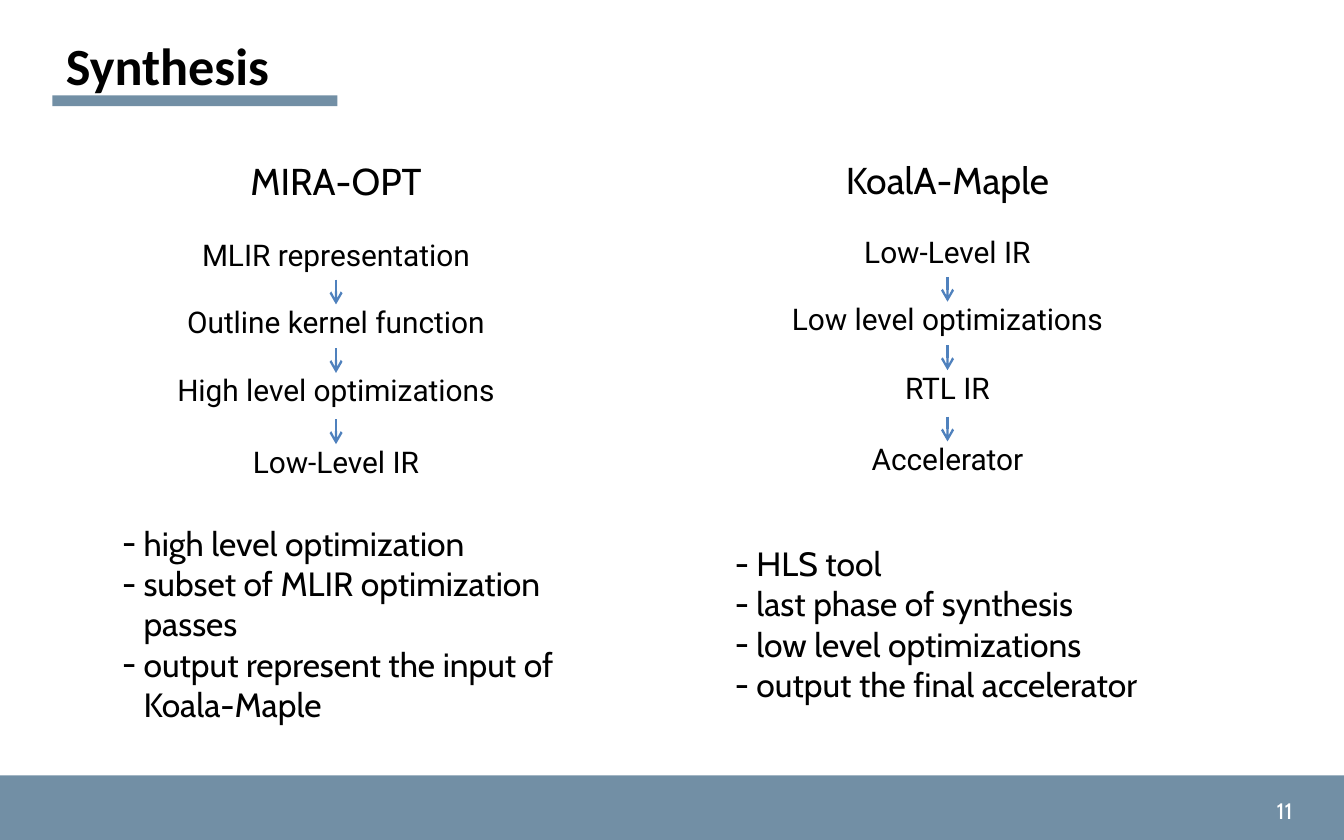
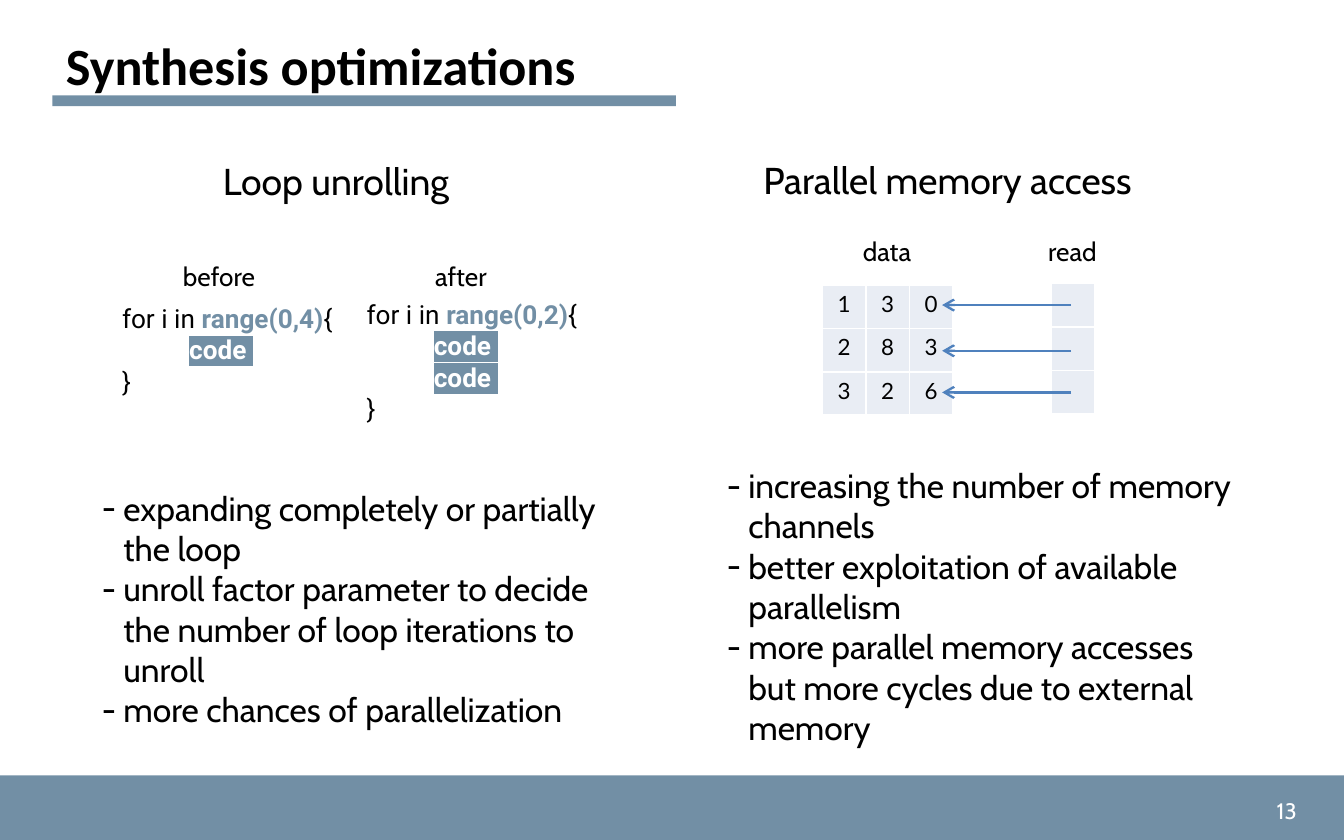
from lxml.etree import SubElement
from pptx import Presentation
from pptx.dml.color import RGBColor
from pptx.enum.shapes import MSO_CONNECTOR, MSO_SHAPE
from pptx.enum.text import MSO_ANCHOR, MSO_AUTO_SIZE, PP_ALIGN
from pptx.oxml.ns import qn
from pptx.util import Inches, Pt

HUES = {
    "band": "728FA5",
    "ink": "000000",
    "paper": "FFFFFF",
    "cell": "E9EDF4",
    "arrow": "4F81BD",
}
WIDE, HIGH = 100, 62.5
LEFT, RIGHT = 3.9, 49.4
HALF = 42.2


def unit(count):
    """Turn grid columns or rows into a length."""
    return Inches(round(count / 10, 3))


def hue(name):
    """Give the colour that a name stands for."""
    return RGBColor.from_string(HUES[name])


class Deck:
    """Hold the style and the current slide."""

    def __init__(self):
        """Start an empty deck."""
        self.show = Presentation()
        self.show.slide_width = unit(WIDE)
        self.show.slide_height = unit(HIGH)

    def page(self, title, number, width):
        """Add a slide with its title, rule, footer band and number."""
        self.slide = self.show.slides.add_slide(self.show.slide_layouts[5])
        self.band(0, 57.7, WIDE, 4.8)
        self.box(94, 58.8, 3.8, 3, [number], 12, tint="paper")
        head = self.slide.shapes.title
        self.place(head, LEFT, 2, width, 5.7)
        self.fill(head.text_frame, [title], 28, "Calibri", wrap=False)
        head.text_frame.paragraphs[0].runs[0].font.bold = True
        self.band(LEFT, 7.1, width + 1.9, 0.8)

    def place(self, shape, x, y, wide, high):
        """Move and size a shape on the grid."""
        shape.left, shape.top = unit(x), unit(y)
        shape.width, shape.height = unit(wide), unit(high)

    def band(self, x, y, wide, high):
        """Draw a plain bar."""
        bar = self.slide.shapes.add_shape(
            MSO_SHAPE.RECTANGLE, unit(x), unit(y), unit(wide), unit(high))
        bar.shadow.inherit = False
        bar.fill.solid()
        bar.fill.fore_color.rgb = hue("band")
        bar.line.fill.background()

    def style(self, run, size, face, tint="ink"):
        """Format one run."""
        run.font.size = Pt(size)
        run.font.name = face
        run.font.color.rgb = hue(tint)

    def fill(self, frame, lines, size, face="Cabin", tint="ink",
             align=PP_ALIGN.LEFT, wrap=True):
        """Write lines into a text frame, one paragraph each."""
        frame.word_wrap = wrap
        frame.auto_size = MSO_AUTO_SIZE.SHAPE_TO_FIT_TEXT
        frame.vertical_anchor = MSO_ANCHOR.TOP
        for place, line in enumerate(lines):
            para = frame.add_paragraph() if place else frame.paragraphs[0]
            para.text = line
            para.alignment = align
            for run in para.runs:
                self.style(run, size, face, tint)

    def box(self, x, y, wide, high, lines, size, **look):
        """Add a text box and return its frame."""
        frame = self.slide.shapes.add_textbox(
            unit(x), unit(y), unit(wide), unit(high)).text_frame
        self.fill(frame, lines, size, **look)
        return frame

    def label(self, x, y, wide, high, text, size, face="Cabin"):
        """Add one centred line of text."""
        self.box(x, y, wide, high, [text], size, face=face,
                 align=PP_ALIGN.CENTER)

    def heads(self, first, second):
        """Add the headings of both halves."""
        self.label(LEFT, 11.3, HALF, 4.4, first, 20)
        self.label(RIGHT, 11.2, HALF, 4.4, second, 20)

    def points(self, x, y, high, lines):
        """Add a list with hanging dashes."""
        frame = self.box(x, y, HALF, high, lines, 18)
        for para in frame.paragraphs:
            props = para._p.get_or_add_pPr()
            props.set("marL", str(unit(1.6)))
            props.set("indent", str(-unit(1.6)))
            SubElement(props, qn("a:buFont"), typeface="Cabin")
            SubElement(props, qn("a:buChar"), char="-")

    def arrow(self, start, end):
        """Draw an arrow between two grid points."""
        line = self.slide.shapes.add_connector(
            MSO_CONNECTOR.STRAIGHT, *map(unit, start + end))
        line.line.color.rgb = hue("arrow")
        line.line.width = Pt(1.25)
        SubElement(line.line._get_or_add_ln(), qn("a:tailEnd"), type="arrow")
        SubElement(line._element.spPr, qn("a:effectLst"))

    def flow(self, mid, top, steps):
        """Stack steps with an arrow before each but the first."""
        spans = (24.7, 26.3, 29.1, 29.1)
        drops = (0, 5, 10.1, 15.4)
        for step, span, drop in zip(steps, spans, drops):
            y = top + drop
            self.label(mid - span / 2, y, span, 3.7, step, 16, "Roboto")
            if drop:
                self.arrow((mid, y - 1.3), (mid, y + 0.55))

    def code(self, x, y, high, span, count):
        """Write a loop with its body marked."""
        rows = [[("for i in ", "ink"), (span, "band"), ("{", "ink")]]
        rows += [[("\t", "paper"), ("code ", "paper")]] * count
        rows += [[("}", "ink")]]
        frame = self.box(x, y, 19.6, high, [""] * len(rows), 14)
        for para, row in zip(frame.paragraphs, rows):
            for text, tint in row:
                run = para.add_run()
                run.text = text
                self.style(run, 14, "Roboto", tint)
                run.font.bold = tint != "ink"
                if text.startswith("code"):
                    self.mark(run)

    def mark(self, run):
        """Put a highlight behind a run."""
        props = run.font._element
        light = SubElement(props, qn("a:highlight"))
        SubElement(light, qn("a:srgbClr"), val=HUES["band"])
        props.find(qn("a:solidFill")).addnext(light)

    def table(self, x, y, rows):
        """Add a grid of square cells."""
        deep, wide = len(rows), len(rows[0])
        grid = self.slide.shapes.add_table(
            deep, wide, unit(x), unit(y),
            unit(3.23 * wide), unit(3.23 * deep)).table
        grid.first_row = grid.horz_banding = False
        for cell, text in zip(grid.iter_cells(), "".join(rows)):
            self.cell(cell, text.strip())

    def cell(self, cell, text):
        """Fill, frame and write one cell."""
        para = cell.text_frame.paragraphs[0]
        para.text = text
        para.alignment = PP_ALIGN.CENTER
        for run in para.runs:
            self.style(run, 12, "Lato")
        SubElement(para._p, qn("a:endParaRPr"), sz="1200")
        cell.margin_left = cell.margin_right = unit(0.8)
        cell.margin_top = cell.margin_bottom = unit(0.4)
        props = cell._tc.get_or_add_tcPr()
        for side in "LRTB":
            edge = SubElement(props, qn("a:ln" + side), w=str(Pt(1)))
            paint = SubElement(edge, qn("a:solidFill"))
            SubElement(paint, qn("a:srgbClr"), val=HUES["paper"])
        cell.fill.solid()
        cell.fill.fore_color.rgb = hue("cell")


def tools(deck):
    """Build the slide on the two tools."""
    deck.page("Synthesis", "11", 19.3)
    deck.heads("MIRA-OPT", "KoalA-Maple")
    deck.flow(25, 17.1, ["MLIR representation", "Outline kernel function",
                         "High level optimizations", "Low-Level IR"])
    deck.flow(70.5, 16.9, ["Low-Level IR", "Low level optimizations",
                           "RTL IR", "Accelerator"])
    deck.points(8.1, 38.4, 16.2, [
        "high level optimization",
        "subset of MLIR optimization\vpasses",
        "output represent the input of\vKoala-Maple"])
    deck.points(53.7, 39.9, 13.1, [
        "HLS tool", "last phase of synthesis",
        "low level optimizations", "output the final accelerator"])


def tuning(deck):
    """Build the slide on the two optimizations."""
    deck.page("Synthesis optimizations", "13", 44.5)
    deck.heads("Loop unrolling", "Parallel memory access")
    for x, y, text in ((10.8, 18.9, "before"), (28.8, 18.9, "after"),
                       (60.5, 17, "data"), (74.3, 17, "read")):
        deck.label(x, y, 11, 3.4, text, 14)
    deck.code(8.1, 22, 8.1, "range(0,4)", 1)
    deck.code(26.3, 21.7, 10.4, "range(0,2)", 2)
    deck.table(61.2, 21.2, ["130", "283", "326"])
    deck.table(78.2, 21.1, [" "] * 3)
    for y in (22.7, 26.1, 29.2):
        deck.arrow((79.7, y), (70.1, y))
    deck.points(6.6, 35.8, 19.2, [
        "expanding completely or partially\vthe loop",
        "unroll factor parameter to decide\v"
        "the number of loop iterations to\vunroll",
        "more chances of parallelization"])
    deck.points(53.1, 34.1, 22.2, [
        "increasing the number of memory\vchannels",
        "better exploitation of available\vparallelism",
        "more parallel memory accesses\v"
        "but more cycles due to external\vmemory"])


def main():
    """Build and save the deck."""
    deck = Deck()
    tools(deck)
    tuning(deck)
    deck.show.save("out.pptx")


if __name__ == "__main__":
    main()
